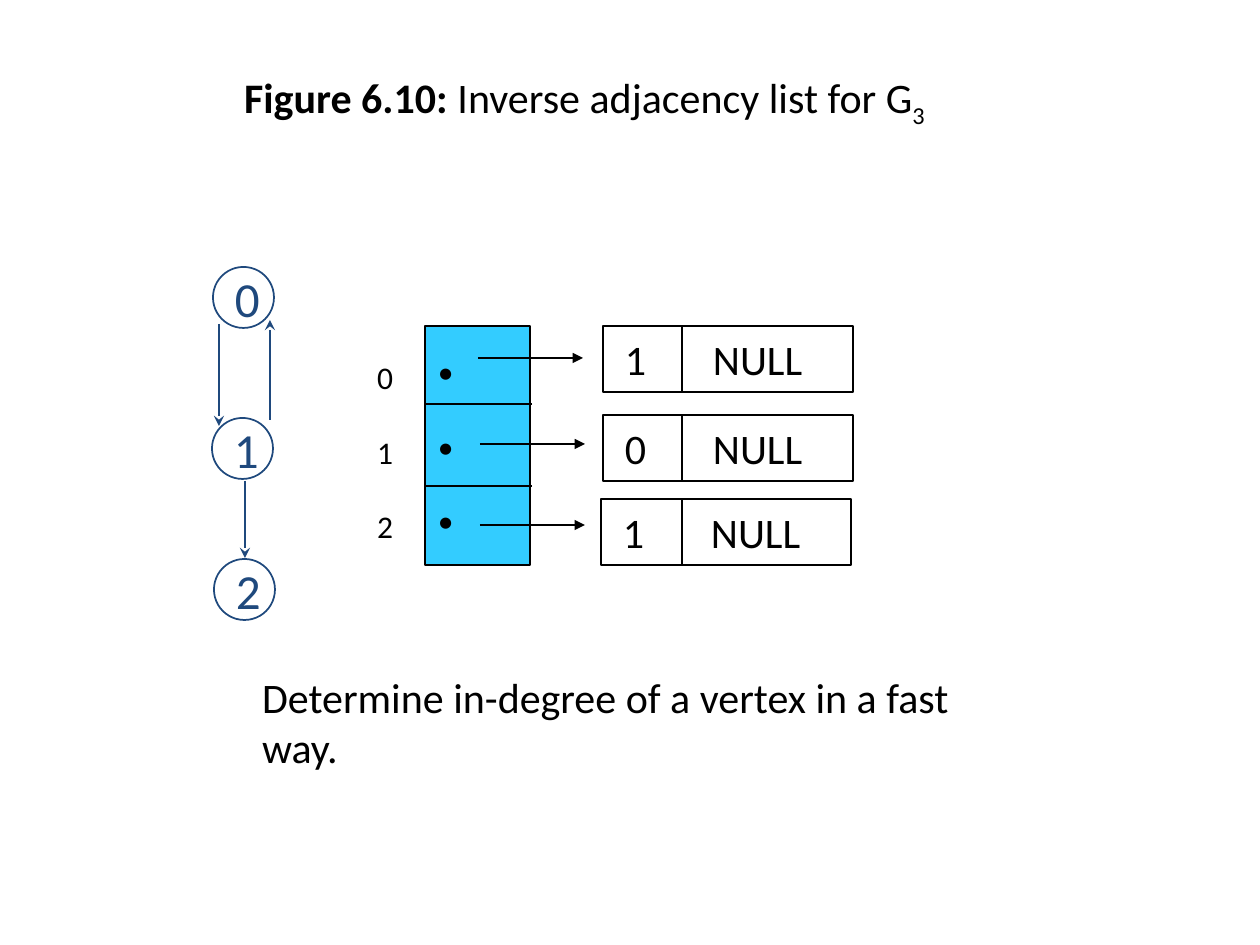
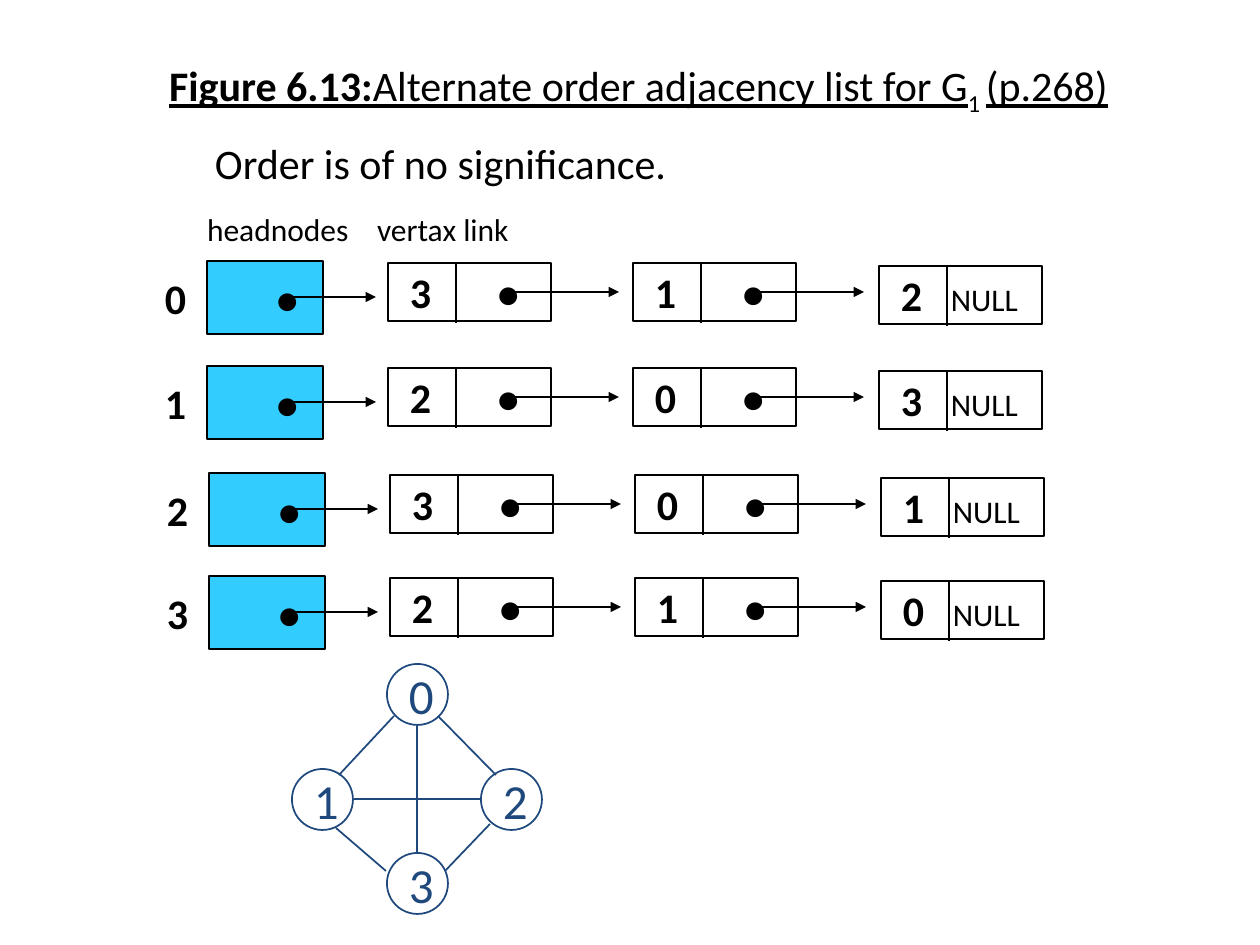
"""Build two slides on adjacency lists: the inverse list for G3 and an alternate order for G1."""
from dataclasses import dataclass

from lxml import etree
from pptx import Presentation
from pptx import util as u
from pptx.dml.color import RGBColor
from pptx.enum import shapes, text
from pptx.oxml.ns import qn


@dataclass(frozen=True)
class Theme:
    font: str = "Calibri"
    ink: str = "000000"
    paper: str = "FFFFFF"
    head: str = "33CCFF"
    graph: str = "1F497D"
    small: int = 18
    body: int = 24
    vertex: int = 28
    thin: float = 0.75
    thick: float = 1
    inset: int = 13


T = Theme()
PX = 914400 / 126

INVERSE = {
    "title": [("Figure 6.10: ", {"bold": True}), ("Inverse adjacency list for G", {}),
              ("3", {"sub": True})],
    "title_box": (49, 43, 1071, 115),
    "note": "Determine in-degree of a vertex in a fast way.",
    "note_box": (249, 690, 750, 63),
    "indexes": "012",
    "index_box": (364, 340, 43, 223),
    "head_box": (425, 326, 105, 239),
    "head_rules": (404, 486),
    "pointers": [(478, 358), (480, 444), (480, 525)],
    "nodes": [("1", 603, 326), ("0", 603, 415), ("1", 601, 499)],
    "vertices": [("0", 213, 267), ("1", 212, 418), ("2", 214, 559)],
    "edges": [(245, 481, 245, 558), (270, 420, 270, 320), (219, 324, 219, 426)],
}
ALTERNATE = {
    "title": [("Figure 6.13:", {"bold": True, "underline": True}),
              ("Alternate order adjacency list for G", {"underline": True}),
              ("1 ", {"sub": True}), ("(p.268)", {"underline": True})],
    "title_box": (103, 40, 1071, 97),
    "note": "Order is of no significance.",
    "note_box": (202, 131, 484, 63),
    "columns": "headnodes\tvertax link",
    "columns_box": (194, 202, 358, 54),
    "rows": [("0", "312", 207, 261), ("1", "203", 207, 366),
             ("2", "301", 209, 473), ("3", "210", 209, 576)],
    "vertices": [("0", 387, 664), ("1", 292, 769), ("2", 481, 769), ("3", 387, 853)],
    "edges": [(417, 726, 417, 852), (354, 799, 480, 799), (394, 716, 339, 775),
              (438, 716, 496, 775), (336, 828, 386, 871), (490, 824, 445, 871)],
}
NODE_OFFSETS = [(181, 2), (426, 2), (672, 5)]


def px(n):
    return u.Emu(round(n * PX))


def write(tf, paragraphs, size=T.body, color=T.ink, bold=False, tab=None, gap=0,
          inset=T.inset, wrap=True, align=text.PP_ALIGN.LEFT):
    frame = {"word_wrap": wrap, "vertical_anchor": text.MSO_ANCHOR.MIDDLE,
             "margin_left": px(inset), "margin_right": 0 if wrap else px(inset),
             "margin_top": 0, "margin_bottom": 0}
    for name, value in frame.items():
        setattr(tf, name, value)
    for i, runs in enumerate(paragraphs):
        p = tf.add_paragraph() if i else tf.paragraphs[0]
        p.alignment = align
        if i and gap:
            p.space_before = u.Pt(gap)
        if tab:
            tabs = etree.SubElement(p._p.get_or_add_pPr(), qn("a:tabLst"))
            etree.SubElement(tabs, qn("a:tab"), pos=str(px(tab)), algn="l")
        for content, extra in [(runs, {})] if isinstance(runs, str) else runs:
            r = p.add_run()
            r.text = content
            r.font.color.rgb = RGBColor.from_string(color)
            form = {"name": T.font, "size": u.Pt(size), "bold": bold, "underline": False, **extra}
            if form.pop("sub", False):
                r._r.get_or_add_rPr().set("baseline", "-25000")
            for name, value in form.items():
                setattr(r.font, name, value)


def label(parent, box, paragraphs, **form):
    write(parent.add_textbox(*map(px, box)).text_frame, paragraphs, **form)


def shape(parent, kind, box, fill=T.paper, line=T.ink, width=T.thin):
    sp = parent.add_shape(kind, *map(px, box))
    sp.shadow.inherit = False
    sp.fill.solid()
    sp.fill.fore_color.rgb = RGBColor.from_string(fill)
    sp.line.color.rgb = RGBColor.from_string(line)
    sp.line.width = u.Pt(width)
    return sp


def rect(parent, box, paragraphs, fill=T.paper, **form):
    write(shape(parent, shapes.MSO_SHAPE.RECTANGLE, box, fill).text_frame, paragraphs, **form)


def line(parent, ends, color=T.ink, width=T.thin, tail=None):
    cx = parent.add_connector(shapes.MSO_CONNECTOR.STRAIGHT, *map(px, ends))
    cx.line.color.rgb = RGBColor.from_string(color)
    cx.line.width = u.Pt(width)
    if tail:
        etree.SubElement(cx.line._get_or_add_ln(), qn("a:tailEnd"), type=tail)
    etree.SubElement(cx._element.spPr, qn("a:effectLst"))


def graph(parent, vertices, edges, tail=None):
    for name, x, y in vertices:
        sp = shape(parent, shapes.MSO_SHAPE.OVAL, (x, y, 61, 61), line=T.graph, width=T.thick)
        write(sp.text_frame, [name], size=T.vertex, color=T.graph, wrap=False)
    for ends in edges:
        line(parent, ends, T.graph, T.thick, tail)


def start_slide(prs, d):
    s = prs.slides.add_slide(prs.slide_layouts[5])
    title = s.shapes.title
    title.left, title.top, title.width, title.height = map(px, d["title_box"])
    write(title.text_frame, [d["title"]], inset=0, align=text.PP_ALIGN.CENTER)
    label(s.shapes, d["note_box"], [d["note"]])
    return s.shapes


def inverse_list(prs, d):
    sh = start_slide(prs, d)
    rect(sh, d["head_box"], ["•"] * 3, T.head, size=T.small, gap=21)
    for y in d["head_rules"]:
        line(sh, (425, y, 532, y))
    for x, y in d["pointers"]:
        line(sh, (x, y, x + 105, y), tail="triangle")
    label(sh, d["index_box"], d["indexes"], size=T.small, gap=21)
    for vertex, x, y in d["nodes"]:
        rect(sh, (x, y, 250, 66), [f"{vertex}\tNULL"], inset=22, tab=88)
        line(sh, (682, y, 682, y + 66))
    graph(sh, d["vertices"], d["edges"], "stealth")


def list_row(parent, name, chain, x, y):
    label(parent, (x - 55, y + 5, 47, 63), [name], bold=True)
    rect(parent, (x, y, 116, 73), ["•"], T.head, bold=True, inset=70)
    line(parent, (x + 84, y + 36, x + 169, y + 36), tail="triangle")
    for i, (vertex, (dx, dy)) in enumerate(zip(chain, NODE_OFFSETS)):
        last = i == len(chain) - 1
        left, top = x + dx, y + dy
        link = ("NULL", {"size": u.Pt(T.small), "bold": False}) if last else ("•", {})
        rect(parent, (left, top, 163, 58), [[(f"{vertex}\t", {}), link]],
             bold=True, inset=22, tab=50 if last else 88)
        line(parent, (left + 68, top, left + 68, top + 60))
        if not last:
            line(parent, (left + 126, top + 29, left + 231, top + 29), tail="triangle")


def alternate_list(prs, d):
    sh = start_slide(prs, d)
    label(sh, d["columns_box"], [d["columns"]], size=T.small, tab=170)
    for row in d["rows"]:
        list_row(sh.add_group_shape().shapes, *row)
    graph(sh, d["vertices"], d["edges"])


def main():
    prs = Presentation()
    prs.slide_width, prs.slide_height = px(1260), px(945)
    inverse_list(prs, INVERSE)
    alternate_list(prs, ALTERNATE)
    prs.save("out.pptx")


if __name__ == "__main__":
    main()
